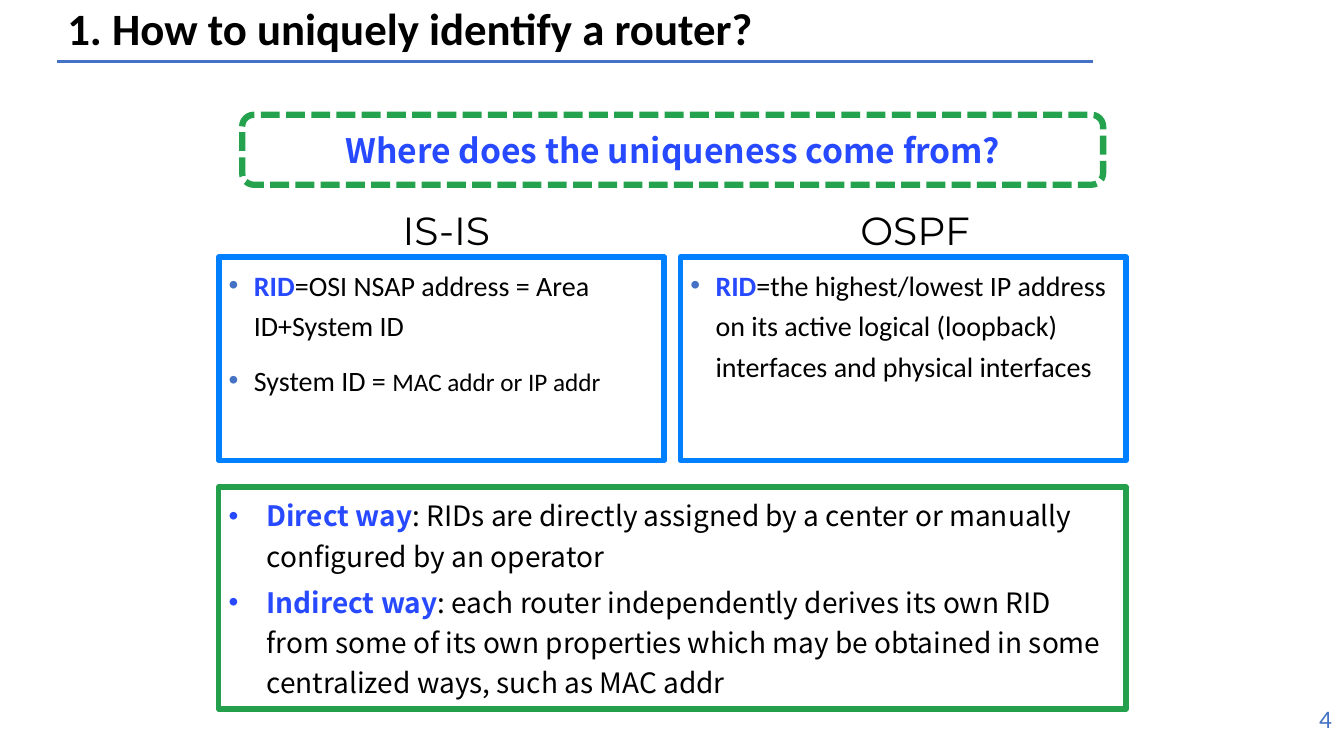
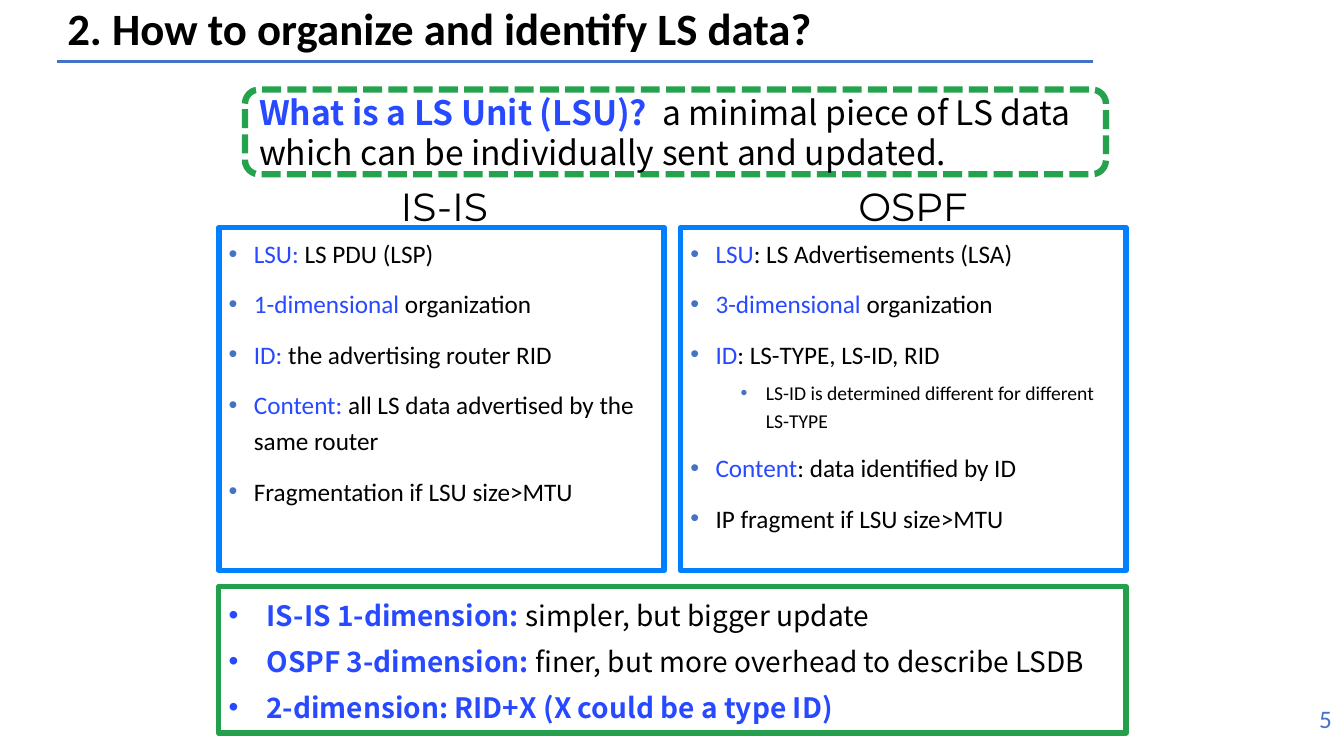
import pptx
import pptx.util
import pptx.dml.color
import pptx.enum.dml
import pptx.enum.shapes
import pptx.enum.text
import pptx.oxml
import pptx.oxml.ns
from lxml import etree

Pt = pptx.util.Pt
ALIGN = pptx.enum.text.PP_ALIGN
ANCHOR = pptx.enum.text.MSO_ANCHOR
SHAPES = pptx.enum.shapes.MSO_SHAPE

COLORS = {"text": "000000", "key": "2749FF", "accent": "4472C4",
          "panel": "0080FF", "summary": "249F4C", "callout": "25A24E"}
# Run styles: colour and bold
RUNS = {"plain": ("text", False), "key": ("key", False), "strong": ("key", True),
        "title": ("text", True), "number": ("accent", False)}
BODY, HEADING, WIDE = "Calibri", "Montserrat", "Noto Sans CJK SC"

# Shared grid, in points
LEFT, FULL_WIDTH, PANEL_WIDTH = 156.25, 648, 318.25
PANEL_LEFTS = (LEFT, LEFT + FULL_WIDTH - PANEL_WIDTH)
HEADINGS = (("IS-IS", 280.5, 87), ("OSPF", 607.5, 98))


def rgb(name):
    return pptx.dml.color.RGBColor.from_string(COLORS[name])


class Deck:
    def __init__(self):
        self.prs = pptx.Presentation()
        self.prs.slide_width, self.prs.slide_height = Pt(960), Pt(540)
        self.slide = None

    def new_slide(self, title, number):
        self.slide = self.prs.slides.add_slide(self.prs.slide_layouts[6])
        self.rule(41, 781, 44)
        frame = self.text_box(41, 0, 869, 44)
        frame.vertical_anchor = ANCHOR.MIDDLE
        heading = frame.paragraphs[0]
        heading.line_spacing = 0.9
        self.runs(heading, [(title, "title")], BODY, 32)
        page = self.text_box(875, 499, 83.5, 39.5).paragraphs[0]
        page.alignment = ALIGN.RIGHT
        self.runs(page, [(str(number), "number")], BODY, 18)

    def rule(self, start, end, y):
        line = self.slide.shapes.add_connector(
            pptx.enum.shapes.MSO_CONNECTOR.STRAIGHT, Pt(start), Pt(y), Pt(end), Pt(y))
        line.line.color.rgb = rgb("accent")
        line.line.width = Pt(2.5)
        etree.SubElement(line._element.spPr, pptx.oxml.ns.qn("a:effectLst"))

    def text_box(self, x, y, w, h):
        frame = self.slide.shapes.add_textbox(Pt(x), Pt(y), Pt(w), Pt(h)).text_frame
        frame.word_wrap = True
        return frame

    def outline(self, x, y, w, h, color, width=4, preset=SHAPES.RECTANGLE):
        shape = self.slide.shapes.add_shape(preset, Pt(x), Pt(y), Pt(w), Pt(h))
        shape.shadow.inherit = False
        shape.fill.background()
        shape.line.color.rgb = rgb(color)
        shape.line.width = Pt(width)
        shape.text_frame.word_wrap = True
        shape.text_frame.vertical_anchor = ANCHOR.TOP
        return shape

    def runs(self, paragraph, parts, font, size):
        """Each part is (text, run style) with an optional size of its own."""
        for text, style, *own_size in parts:
            color, bold = RUNS[style]
            run = paragraph.add_run()
            run.text = text
            run.font.name = font
            run.font.size = Pt(own_size[0] if own_size else size)
            run.font.bold = bold
            run.font.color.rgb = rgb(color)

    def bullet(self, paragraph, indent, hanging, color):
        props = paragraph._p.get_or_add_pPr()
        props.set("marL", str(Pt(indent)))
        props.set("indent", str(-Pt(hanging)))
        ns = pptx.oxml.ns.nsdecls("a")
        for xml in (f'<a:buClr {ns}><a:srgbClr val="{COLORS[color]}"/></a:buClr>',
                    f'<a:buFont {ns} typeface="Arial"/>',
                    f'<a:buChar {ns} char="\u2022"/>'):
            props.append(pptx.oxml.parse_xml(xml))

    def bullets(self, frame, items, font, size, hanging, before, color):
        """Each item is a list of parts; a tuple marks a second-level item."""
        for i, parts in enumerate(items):
            paragraph = frame.add_paragraph() if i else frame.paragraphs[0]
            sub = isinstance(parts, tuple)
            paragraph.level = int(sub)
            paragraph.alignment = ALIGN.LEFT
            paragraph.line_spacing = 1.2
            paragraph.space_before = Pt(before / 2 if sub else before)
            self.bullet(paragraph, hanging * (3 if sub else 1), hanging, color)
            self.runs(paragraph, parts, font, size)

    def callout(self, x, y, h, parts, align):
        box = self.outline(x, y, 615, h, "callout", 4.5, SHAPES.ROUNDED_RECTANGLE)
        box.line.dash_style = pptx.enum.dml.MSO_LINE.SQUARE_DOT
        box.text_frame.vertical_anchor = ANCHOR.MIDDLE
        question = box.text_frame.paragraphs[0]
        question.alignment = align
        self.runs(question, parts, WIDE, 24)

    def comparison(self, heading_top, shift, top, height, size, columns):
        for (protocol, x, w), left, items in zip(HEADINGS, PANEL_LEFTS, columns):
            frame = self.text_box(x + shift, heading_top, w, 41)
            frame.word_wrap = False
            frame.auto_size = pptx.enum.text.MSO_AUTO_SIZE.SHAPE_TO_FIT_TEXT
            self.runs(frame.paragraphs[0], [(protocol, "plain")], HEADING, 28)
            panel = self.outline(left, top, PANEL_WIDTH, height, "panel")
            self.bullets(panel.text_frame, items, BODY, size, 18, 10, "accent")

    def summary(self, top, height, items):
        box = self.outline(LEFT, top, FULL_WIDTH, height, "summary")
        self.bullets(box.text_frame, items, WIDE, 20, 27, 4, "key")


deck = Deck()

# Router identity
deck.new_slide("1. How to uniquely identify a router?", 4)
deck.callout(173, 82, 50, [("Where does the uniqueness come from?", "strong")],
             ALIGN.CENTER)
deck.comparison(144, 0, 183.5, 145.5, 20, [
    [[("RID", "strong"), ("=OSI NSAP address = Area ID+System ID", "plain")],
     [("System ID = ", "plain"), ("MAC addr or IP addr", "plain", 18)]],
    [[("RID", "strong"),
      ("=the highest/lowest IP address on its active logical (loopback) "
       "interfaces and physical interfaces", "plain")]],
])
deck.summary(348, 158.5, [
    [("Direct way", "strong"),
     (": RIDs are directly assigned by a center or manually configured "
      "by an operator", "plain")],
    [("Indirect way", "strong"),
     (": each router independently derives its own RID from some of its own "
      "properties which may be obtained in some centralized ways, "
      "such as MAC addr", "plain")],
])

# Link-state data
deck.new_slide("2. How to organize and identify LS data?", 5)
deck.callout(175, 64, 60.5, [
    ("What is a LS Unit (LSU)? ", "strong"),
    (" a minimal piece of LS data which can be individually sent and updated.",
     "plain")], ALIGN.LEFT)
deck.comparison(126.5, -1.5, 162.5, 245, 18, [
    [[("LSU: ", "key"), ("LS PDU (LSP)", "plain")],
     [("1-dimensional", "key"), (" organization", "plain")],
     [("ID: ", "key"), ("the advertising router RID", "plain")],
     [("Content: ", "key"), ("all LS data advertised by the same router", "plain")],
     [("Fragmentation if LSU size>MTU", "plain")]],
    [[("LSU", "key"), (": LS Advertisements (LSA)", "plain")],
     [("3-dimensional", "key"), (" organization", "plain")],
     [("ID", "key"), (": LS-TYPE, LS-ID, RID", "plain")],
     (("LS-ID is determined different for different LS-TYPE", "plain", 14),),
     [("Content", "key"), (": data identified by ID", "plain")],
     [("IP fragment if LSU size>MTU", "plain")]],
])
deck.summary(419, 104.5, [
    [("IS-IS 1-dimension: ", "strong"), ("simpler, but bigger update", "plain")],
    [("OSPF 3-dimension:", "strong"),
     (" finer, but more overhead to describe LSDB", "plain")],
    [("2-dimension: RID+X (X could be a type ID)", "strong")],
])

deck.prs.save("out.pptx")
